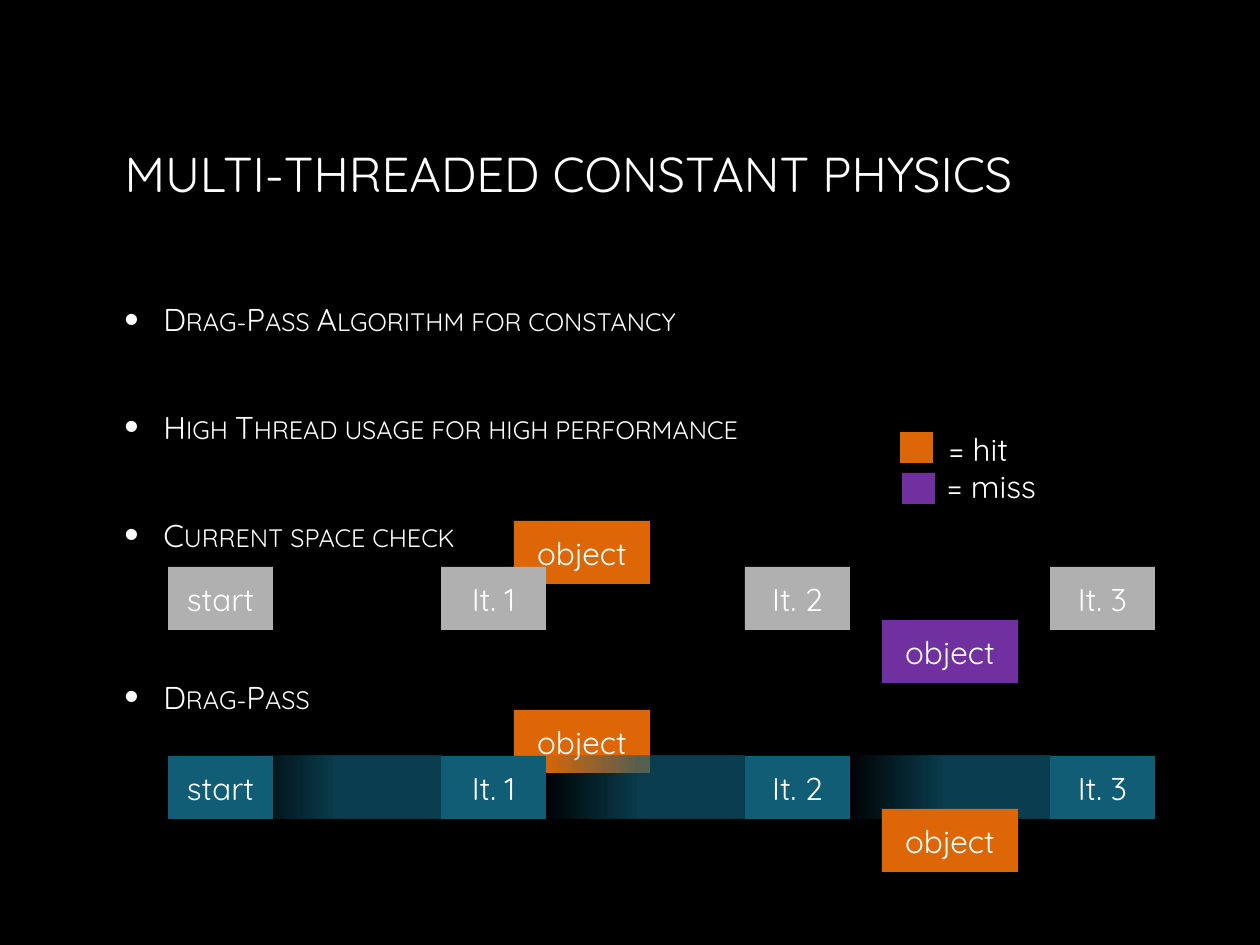
import pptx
import pptx.dml.color
import pptx.enum.shapes
import pptx.enum.text
import pptx.oxml.ns
import pptx.util
from lxml import etree

PX = 914400 / 126
FONT = "Quicksand"
WHITE, BLACK = "FFFFFF", "000000"
ORANGE, PURPLE, GREY, TEAL = "DD6606", "7030A0", "B0B0B0", "115D76"
CENTER = pptx.enum.text.PP_ALIGN.CENTER
LEFT = pptx.enum.text.PP_ALIGN.LEFT
MIDDLE = pptx.enum.text.MSO_ANCHOR.MIDDLE
TOP = pptx.enum.text.MSO_ANCHOR.TOP


def px(length):
    """Turn pixels into EMU."""
    return pptx.util.Emu(round(length * PX))


def color(hex_value):
    """Turn a hex string into a colour."""
    return pptx.dml.color.RGBColor.from_string(hex_value)


def add_child(parent, tag, **attributes):
    """Append a DrawingML element with the given attributes."""
    child = etree.SubElement(parent, pptx.oxml.ns.qn(tag))
    for key, value in attributes.items():
        child.set(key, str(value))
    return child


def write(paragraph, text, size=18, align=CENTER):
    """Add one white run to a paragraph and return it."""
    paragraph.alignment = align
    run = paragraph.add_run()
    run.text = text
    run.font.name = FONT
    run.font.size = pptx.util.Pt(size)
    run.font.color.rgb = color(WHITE)
    return run


def add_text_frame(slide, box, anchor):
    """Add a wrapping text box and return its frame."""
    frame = slide.shapes.add_textbox(*map(px, box)).text_frame
    frame.word_wrap = True
    frame.vertical_anchor = anchor
    return frame


def add_block(slide, box, fill, label=""):
    """Add a flat rectangle with an optional centred label."""
    block = slide.shapes.add_shape(
        pptx.enum.shapes.MSO_SHAPE.RECTANGLE, *map(px, box))
    block.shadow.inherit = False
    block.line.fill.background()
    block.fill.solid()
    block.fill.fore_color.rgb = color(fill)
    if label:
        block.text_frame.vertical_anchor = MIDDLE
        write(block.text_frame.paragraphs[0], label)
    return block


def add_sweep(slide, box, fill):
    """Add a rectangle that fades out towards its left edge."""
    sweep = add_block(slide, box, fill)
    sweep.fill.gradient()
    sweep.fill.gradient_angle = 180
    for stop, position, opacity in zip(sweep.fill.gradient_stops, (0.52, 1), (66, 0)):
        stop.position = position
        stop.color.rgb = color(fill)
    for rgb, opacity in zip(sweep.element.spPr.iter(pptx.oxml.ns.qn("a:srgbClr")), (66, 0)):
        add_child(rgb, "a:alpha", val=opacity * 1000)


def add_title(slide, box, text):
    """Place and format the title placeholder."""
    title = slide.shapes.title
    title.left, title.top, title.width, title.height = map(px, box)
    title.text_frame.word_wrap = True
    title.text_frame.vertical_anchor = MIDDLE
    write(title.text_frame.paragraphs[0], text, 28, LEFT)


def add_topics(slide, box, topics):
    """Add the bulleted topics, each with its space before in points."""
    frame = add_text_frame(slide, box, TOP)
    frame.margin_top = px(17)
    for index, (topic, gap) in enumerate(topics):
        paragraph = frame.add_paragraph() if index else frame.paragraphs[0]
        paragraph.space_before = pptx.util.Pt(gap)
        properties = paragraph._p.get_or_add_pPr()
        properties.set("marL", str(px(39)))
        properties.set("indent", str(-px(39)))
        add_child(add_child(properties, "a:buClr"), "a:srgbClr", val=WHITE)
        add_child(properties, "a:buSzPct", val=130000)
        add_child(properties, "a:buFont", typeface="Arial")
        add_child(properties, "a:buChar", char="•")
        run = write(paragraph, topic, align=LEFT)
        run.font._element.set("cap", "small")


def add_legend(slide, box):
    """Add the hit and miss swatches with their meanings."""
    left, top, width, height = box
    add_block(slide, (left + 8, top + 22, 33, 31), ORANGE)
    frame = add_text_frame(slide, box, MIDDLE)
    write(frame.paragraphs[0], "= hit")
    miss = frame.add_paragraph()
    miss._p.get_or_add_pPr().set("marL", str(px(26)))
    write(miss, "= miss")
    add_block(slide, (left + 10, top + 63, 33, 31), PURPLE)


def add_timeline(slide, box, station_fill, late_object_fill, swept=False):
    """Add one row of iterations with an early and a late object."""
    left, top, width, height = box
    station_width, object_width, sweep_width = 105, 136, 202
    stations = {"start": 0, "It. 1": 273, "It. 2": 577, "It. 3": width - station_width}
    add_block(slide, (left + 346, top - 46, object_width, height), ORANGE, "object")
    if swept:
        for offset in list(stations.values())[1:]:
            add_sweep(slide, (left + offset - sweep_width, top, sweep_width, height),
                      station_fill)
    for label, offset in stations.items():
        add_block(slide, (left + offset, top, station_width, height), station_fill, label)
    add_block(slide, (left + 714, top + 53, object_width, height), late_object_fill, "object")


def main():
    """Build and save the slide."""
    deck = pptx.Presentation()
    deck.slide_width, deck.slide_height = px(1260), px(945)
    slide = deck.slides.add_slide(deck.slide_layouts[5])
    slide.background.fill.solid()
    slide.background.fill.fore_color.rgb = color(BLACK)
    add_title(slide, (112, 82, 1035, 181), "MULTI-THREADED CONSTANT PHYSICS")
    add_topics(slide, (112, 283, 1035, 557), [
        ("Drag-Pass Algorithm for constancy", 0),
        ("High Thread usage for high performance", 40),
        ("Current space check", 40),
        ("Drag-Pass", 71),
    ])
    add_timeline(slide, (168, 567, 987, 63), GREY, PURPLE)
    add_timeline(slide, (168, 756, 987, 63), TEAL, ORANGE, swept=True)
    add_legend(slide, (892, 410, 173, 115))
    deck.save("out.pptx")


if __name__ == "__main__":
    main()
